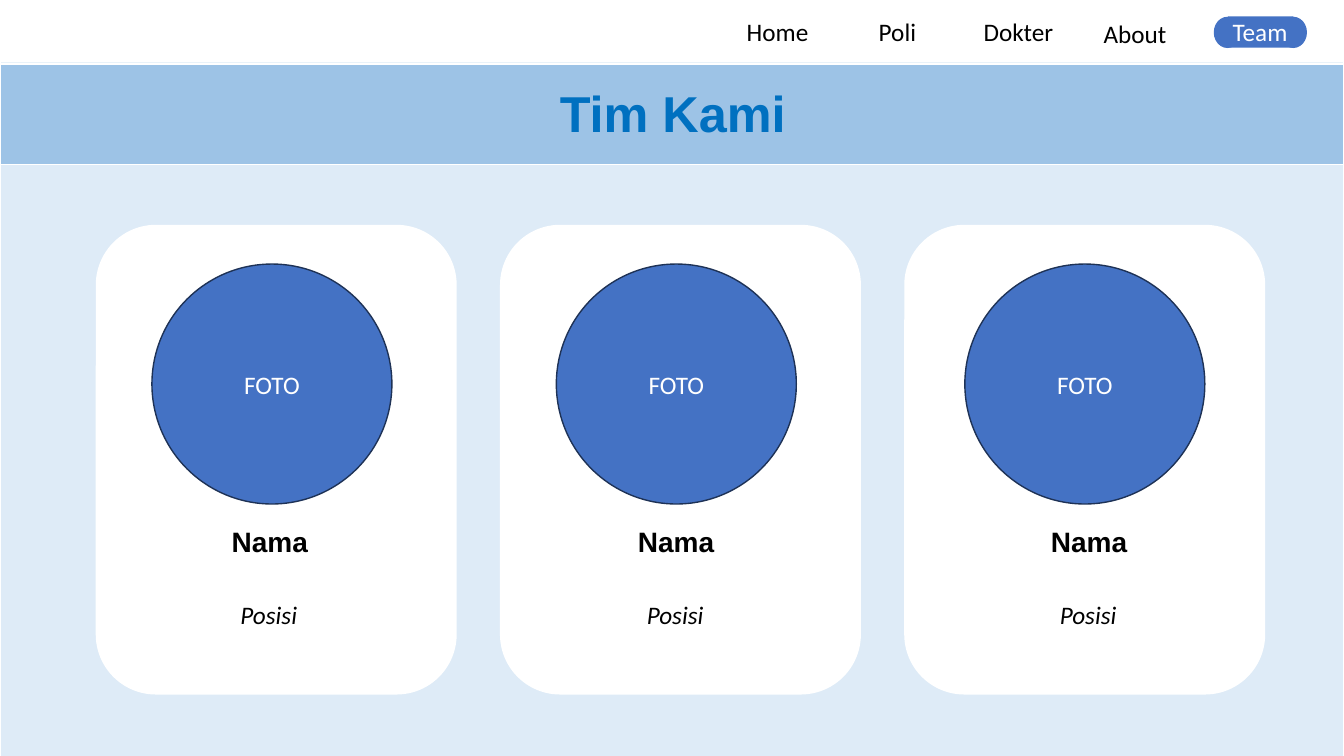
from pptx import Presentation
from pptx import util as u
from pptx.dml import color
from pptx.enum import shapes, text

RECT = shapes.MSO_SHAPE.RECTANGLE
ROUND = shapes.MSO_SHAPE.ROUNDED_RECTANGLE
OVAL = shapes.MSO_SHAPE.OVAL


def rgb(code):
    return color.RGBColor.from_string(code)


class Page:
    white, black, blue = "FFFFFF", "000000", "4472C4"
    pale, sky, deep, navy = "DEEBF7", "9DC3E6", "0070C0", "1E3256"
    body, head = "Calibri", "Arial"

    def __init__(self, deck):
        self.slide = deck.slides.add_slide(deck.slide_layouts[6])

    def shape(self, kind, x, y, w, h, fill, line=None, group=None):
        target = group or self.slide
        item = target.shapes.add_shape(kind, u.Pt(x), u.Pt(y), u.Pt(w), u.Pt(h))
        item.shadow.inherit = False
        item.fill.solid()
        item.fill.fore_color.rgb = rgb(fill)
        if line:
            item.line.color.rgb = rgb(line)
            item.line.width = u.Pt(1)
        else:
            item.line.fill.background()
        return item

    def group(self):
        return self.slide.shapes.add_group_shape()

    def letter(self, item, words, tint, size=18, face=None, bold=False,
               slant=False, center=False):
        para = item.text_frame.paragraphs[0]
        para.alignment = text.PP_ALIGN.CENTER if center else text.PP_ALIGN.LEFT
        run = para.add_run()
        run.text = words
        font = run.font
        font.name, font.size = face or self.body, u.Pt(size)
        font.bold, font.italic = bold, slant
        font.color.rgb = rgb(tint)

    def label(self, x, y, w, h, words, tint=black, **look):
        box = self.slide.shapes.add_textbox(u.Pt(x), u.Pt(y), u.Pt(w), u.Pt(h))
        box.text_frame.word_wrap = True
        box.text_frame.auto_size = text.MSO_AUTO_SIZE.SHAPE_TO_FIT_TEXT
        self.letter(box, words, tint, **look)

    def photo(self, x, y, size, words):
        disc = self.shape(OVAL, x, y, size, size, self.blue, self.navy)
        disc.text_frame.vertical_anchor = text.MSO_ANCHOR.MIDDLE
        self.letter(disc, words, self.white, center=True)


def main():
    deck = Presentation()
    deck.slide_width, deck.slide_height = u.Pt(960), u.Pt(540)
    page = Page(deck)

    # Backdrop and menu bar
    page.shape(RECT, 0, 0, 960, 992, page.pale, page.white)
    page.shape(RECT, 0, 0, 960, 44.6, page.white)
    for words, x, y in (("Home", 526.3, 8), ("Poli", 620.6, 8),
                        ("Dokter", 695.5, 8.3), ("About", 781.2, 9.4)):
        page.label(x, y, 75.6, 29, words)

    # Title band
    page.shape(RECT, 0, 45.6, 960, 72, page.sky, page.white)
    page.label(200.9, 55.4, 559.4, 51, "Tim Kami", page.deep, size=36,
               face=page.head, bold=True, center=True)

    # Active menu pill
    pill = page.group()
    page.shape(RECT, 877, 11.7, 46.8, 22.3, page.blue, group=pill)
    for x in (914.2, 867):
        page.shape(OVAL, x, 12, 19.4, 22.3, page.blue, group=pill)
    page.label(873.4, 8, 54, 29, "Team", page.white)

    # Team cards: left edges of photo and name
    for col, (disc, name) in enumerate(((108.5, 158.4), (397.4, 448.6),
                                        (689.2, 743.6))):
        page.shape(ROUND, 68.4 + 288.75 * col, 160.6, 257.8, 335.5, page.white)
        page.photo(disc, 188.6, 171.4, "FOTO")
        page.label(name, 370.8, 77, 31.5, "Nama", size=20, face=page.head,
                   bold=True)
        page.label(name + 6.3, 424.8, 56.9, 29, "Posisi", slant=True)

    deck.save("out.pptx")


if __name__ == "__main__":
    main()
